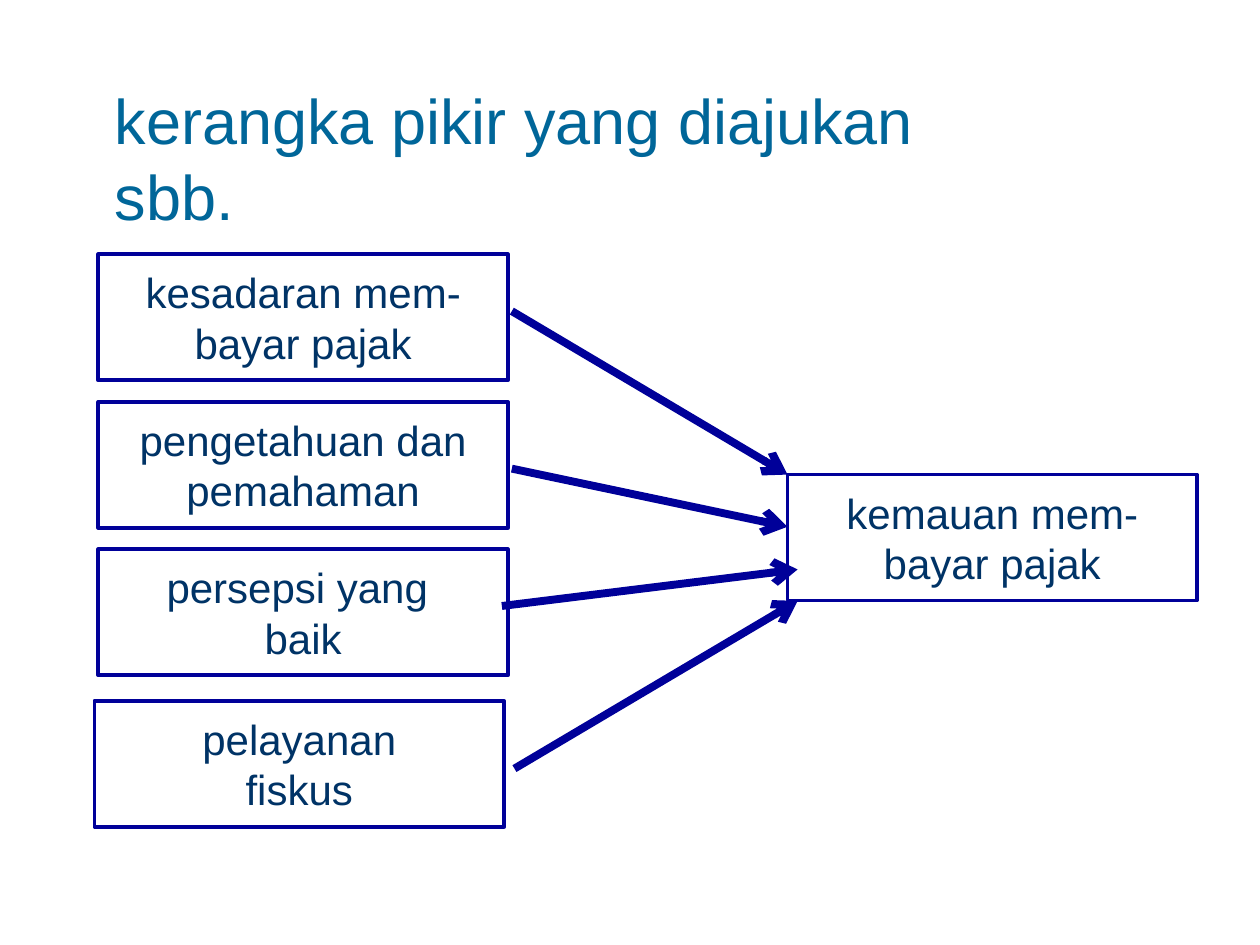
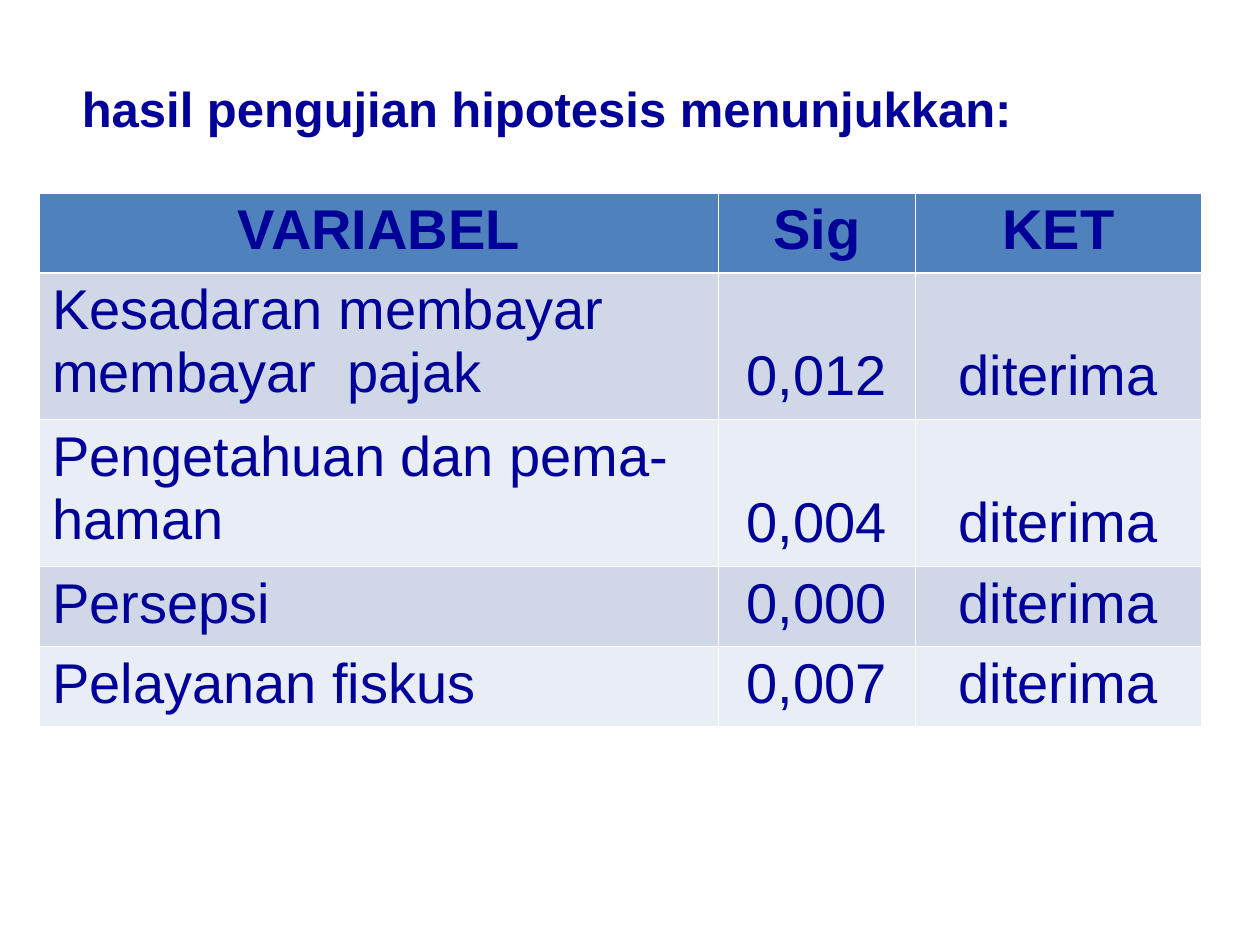
import dataclasses

import lxml.etree
import pptx
import pptx.dml.color
import pptx.enum.shapes
import pptx.enum.text
import pptx.oxml
import pptx.oxml.ns
import pptx.presentation
import pptx.shapes.autoshape
import pptx.shapes.connector
import pptx.slide
import pptx.table
import pptx.text.text
import pptx.util

Pt = pptx.util.Pt
Align = pptx.enum.text.PP_ALIGN
Anchor = pptx.enum.text.MSO_ANCHOR

FONT = "Arial"
COLORS = {
    "white": "FFFFFF",
    "teal": "006699",
    "navy": "003366",
    "blue": "000099",
    "header": "4F81BD",
    "odd_row": "D0D8E8",
    "even_row": "E9EDF4",
}
TITLE_LAYOUT = 5
BOX_WIDTH, BOX_HEIGHT = 234, 72
THIN_BORDER, HEADER_BORDER = 0.45, 1.47


@dataclasses.dataclass(frozen=True)
class Title:
    text: str
    left: float
    top: float
    width: float
    height: float
    size: float
    color: str
    margin_top: float
    bold: bool = False


@dataclasses.dataclass(frozen=True)
class Box:
    text: str
    left: float
    top: float


@dataclasses.dataclass(frozen=True)
class Arrow:
    start_x: float
    start_y: float
    end_x: float
    end_y: float


@dataclasses.dataclass(frozen=True)
class ResultRow:
    variable: str
    significance: str
    remark: str
    height: float


FRAMEWORK_TITLE = Title(
    "kerangka pikir yang diajukan sbb.", 58.3, 39.6, 548.6, 50.4, 36, "teal", 7.2
)
RESULT_TITLE = Title(
    "hasil pengujian hipotesis menunjukkan:", 39.6, 44.6, 598.3, 34.6, 28, "blue", 0, True
)
BOXES = [
    Box("kesadaran mem-\nbayar pajak", 56.2, 145.4),
    Box("pengetahuan dan\npemahaman", 56.2, 229.7),
    Box("persepsi yang \nbaik", 56.2, 313.9),
    Box("pelayanan\nfiskus", 54, 400.5),
    Box("kemauan mem-\nbayar pajak", 450, 271.2),
]
ARROWS = [
    Arrow(292.5, 177.8, 450, 271.2),
    Arrow(292.5, 267.8, 450, 301),
    Arrow(286.8, 346.3, 455.8, 325.4),
    Arrow(294, 439.2, 455.8, 343.4),
]
COLUMN_WIDTHS = [388, 112.5, 163.5]
ROWS = [
    ResultRow("VARIABEL", "Sig", "KET", 45.7),
    ResultRow("Kesadaran membayar\nmembayar  pajak", "0,012", "diterima", 84),
    ResultRow("Pengetahuan dan pema-\nhaman", "0,004", "diterima", 84),
    ResultRow("Persepsi", "0,000", "diterima", 45.7),
    ResultRow("Pelayanan fiskus", "0,007", "diterima", 45.7),
]


def rgb(name: str) -> pptx.dml.color.RGBColor:
    return pptx.dml.color.RGBColor.from_string(COLORS[name])


def write_text(
    text_frame: pptx.text.text.TextFrame,
    text: str,
    size: float,
    color: str,
    alignment: Align,
    bold: bool = False,
) -> None:
    text_frame.text = text
    for paragraph in text_frame.paragraphs:
        paragraph.alignment = alignment
        for run in paragraph.runs:
            run.font.name = FONT
            run.font.size = Pt(size)
            run.font.bold = bold
            run.font.color.rgb = rgb(color)


def add_titled_slide(
    presentation: pptx.presentation.Presentation, title: Title
) -> pptx.slide.Slide:
    slide = presentation.slides.add_slide(presentation.slide_layouts[TITLE_LAYOUT])
    shape = slide.shapes.title
    shape.left, shape.top = Pt(title.left), Pt(title.top)
    shape.width, shape.height = Pt(title.width), Pt(title.height)
    text_frame = shape.text_frame
    text_frame.auto_size = pptx.enum.text.MSO_AUTO_SIZE.NONE
    text_frame.word_wrap = True
    text_frame.vertical_anchor = Anchor.TOP
    text_frame.margin_top, text_frame.margin_bottom = Pt(title.margin_top), 0
    write_text(text_frame, title.text, title.size, title.color, Align.LEFT, title.bold)
    return slide


def add_box(slide: pptx.slide.Slide, box: Box) -> pptx.shapes.autoshape.Shape:
    shape = slide.shapes.add_shape(
        pptx.enum.shapes.MSO_SHAPE.RECTANGLE,
        Pt(box.left), Pt(box.top), Pt(BOX_WIDTH), Pt(BOX_HEIGHT),
    )
    shape.shadow.inherit = False
    shape.fill.solid()
    shape.fill.fore_color.rgb = rgb("white")
    shape.line.color.rgb = rgb("blue")
    shape.line.width = Pt(2.25)
    shape.text_frame.word_wrap = False
    shape.text_frame.vertical_anchor = Anchor.MIDDLE
    write_text(shape.text_frame, box.text, 24, "navy", Align.CENTER)
    return shape


def add_arrow(slide: pptx.slide.Slide, arrow: Arrow) -> pptx.shapes.connector.Connector:
    connector = slide.shapes.add_connector(
        pptx.enum.shapes.MSO_CONNECTOR.STRAIGHT,
        Pt(arrow.start_x), Pt(arrow.start_y), Pt(arrow.end_x), Pt(arrow.end_y),
    )
    connector.line.color.rgb = rgb("blue")
    connector.line.width = Pt(4.5)
    properties = connector._element.spPr
    line = properties.find(pptx.oxml.ns.qn("a:ln"))
    lxml.etree.SubElement(line, pptx.oxml.ns.qn("a:tailEnd"), type="arrow")
    lxml.etree.SubElement(properties, pptx.oxml.ns.qn("a:effectLst"))
    return connector


def add_border(cell: pptx.table._Cell, side: str, width: float) -> None:
    properties = cell._tc.get_or_add_tcPr()
    line = lxml.etree.SubElement(
        properties, pptx.oxml.ns.qn(f"a:ln{side}"), w=str(int(Pt(width)))
    )
    fill = lxml.etree.SubElement(line, pptx.oxml.ns.qn("a:solidFill"))
    lxml.etree.SubElement(fill, pptx.oxml.ns.qn("a:srgbClr"), val=COLORS["white"])


def format_cell(
    cell: pptx.table._Cell, text: str, row_index: int, column_index: int
) -> None:
    is_header = row_index == 0
    top_width = HEADER_BORDER if row_index == 1 else THIN_BORDER
    bottom_width = HEADER_BORDER if is_header else THIN_BORDER
    for side, width in zip("LRTB", (THIN_BORDER, THIN_BORDER, top_width, bottom_width)):
        add_border(cell, side, width)
    band = "odd_row" if row_index % 2 else "even_row"
    cell.fill.solid()
    cell.fill.fore_color.rgb = rgb("header" if is_header else band)
    is_label = column_index == 0 and not is_header
    alignment = Align.LEFT if is_label else Align.CENTER
    write_text(cell.text_frame, text, 32, "blue", alignment, is_header)
    if "\n" in ROWS[row_index].variable and not is_label:
        cell.vertical_anchor = Anchor.BOTTOM
        cell.margin_bottom = Pt(7)


def add_result_table(slide: pptx.slide.Slide) -> None:
    table = slide.shapes.add_table(
        len(ROWS), len(COLUMN_WIDTHS), Pt(22.6), Pt(110.2),
        Pt(sum(COLUMN_WIDTHS)), Pt(sum(row.height for row in ROWS)),
    ).table
    table.first_row = True
    table.horz_banding = False
    for column, width in zip(table.columns, COLUMN_WIDTHS):
        column.width = Pt(width)
    for row_index, row in enumerate(ROWS):
        table.rows[row_index].height = Pt(row.height)
        for column_index, text in enumerate((row.variable, row.significance, row.remark)):
            format_cell(table.cell(row_index, column_index), text, row_index, column_index)


def main() -> None:
    presentation = pptx.Presentation()
    presentation.slide_width, presentation.slide_height = Pt(720), Pt(540)

    framework_slide = add_titled_slide(presentation, FRAMEWORK_TITLE)
    for box in BOXES:
        add_box(framework_slide, box)
    for arrow in ARROWS:
        add_arrow(framework_slide, arrow)

    result_slide = add_titled_slide(presentation, RESULT_TITLE)
    add_result_table(result_slide)

    presentation.save("out.pptx")


if __name__ == "__main__":
    main()
